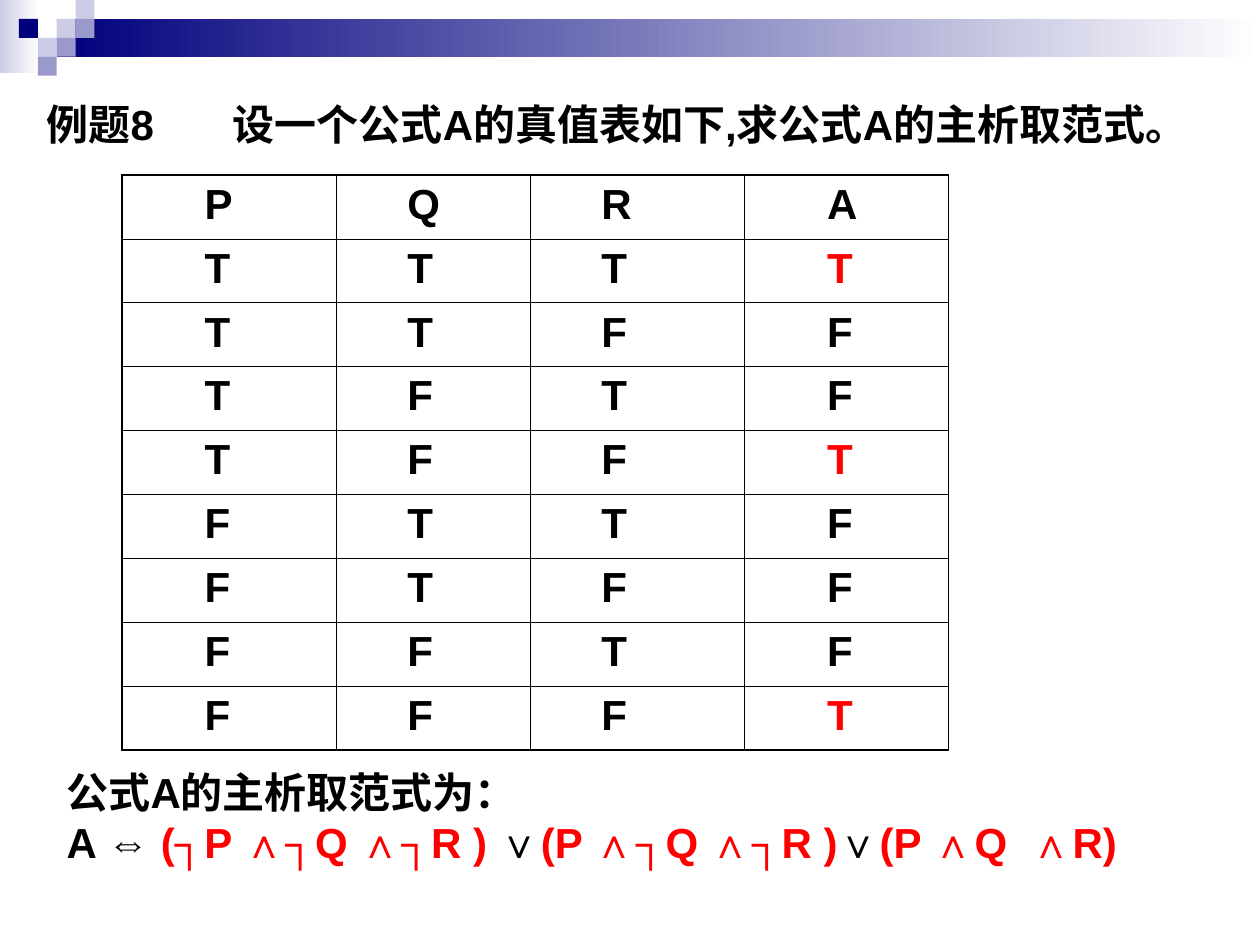
from lxml import etree
from pptx import Presentation
from pptx.dml.color import RGBColor
from pptx.enum import shapes, text
from pptx.oxml import ns
from pptx.util import Pt

BLACK = RGBColor(0x00, 0x00, 0x00)
RED = RGBColor(0xFF, 0x00, 0x00)
WHITE = RGBColor(0xFF, 0xFF, 0xFF)
NAVY = RGBColor(0x00, 0x00, 0x7D)
LILAC = RGBColor(0xCC, 0xCC, 0xE6)
VIOLET = RGBColor(0x99, 0x99, 0xCC)


def add_rectangle(left, top, width, height, *colors):
    """One colour gives a solid fill, two a left-to-right gradient."""
    rectangle = slide.shapes.add_shape(
        shapes.MSO_SHAPE.RECTANGLE, Pt(left), Pt(top), Pt(width), Pt(height))
    rectangle.shadow.inherit = False
    rectangle.line.fill.background()
    if len(colors) == 1:
        rectangle.fill.solid()
        rectangle.fill.fore_color.rgb = colors[0]
    else:
        rectangle.fill.gradient()
        rectangle.fill.gradient_angle = 0
        for stop, color in zip(rectangle.fill.gradient_stops, colors):
            stop.color.rgb = color


def write(paragraph, words, color=BLACK):
    paragraph.alignment = text.PP_ALIGN.LEFT
    run = paragraph.add_run()
    run.text = words
    for key, value in {"name": "Arial", "size": Pt(24), "bold": True}.items():
        setattr(run.font, key, value)
    run.font.color.rgb = color


prs = Presentation()
prs.slide_width, prs.slide_height = Pt(720), Pt(540)
slide = prs.slides.add_slide(prs.slide_layouts[5])

# Banner with its mosaic of squares, given as column, row, colour
UNIT = 10.8
add_rectangle(0, 0, 22.3, 41.8, LILAC, WHITE)
add_rectangle(3 * UNIT, UNIT, 687.6, 2 * UNIT, NAVY, WHITE)
mosaic = [(3, 1, LILAC), (4, 0, LILAC), (4, 1, VIOLET), (2, 2, LILAC),
          (1, 1, NAVY), (3, 2, VIOLET), (2, 3, VIOLET)]
for column, row, color in mosaic:
    add_rectangle(column * UNIT, row * UNIT, UNIT, UNIT, color)

# Question and answer
question = slide.shapes.title
question.left, question.top, question.width, question.height = (
    Pt(19.4), Pt(52.6), Pt(663.1), Pt(64.8))
answer = slide.shapes.add_textbox(Pt(31), Pt(434.2), Pt(668.9), Pt(64.8))
frame_format = {
    "word_wrap": True,
    "auto_size": text.MSO_AUTO_SIZE.SHAPE_TO_FIT_TEXT,
    "vertical_anchor": text.MSO_ANCHOR.TOP,
    "margin_left": Pt(7.2), "margin_right": Pt(7.2),
    "margin_top": Pt(3.6), "margin_bottom": Pt(3.6),
}
for box in (question, answer):
    for key, value in frame_format.items():
        setattr(box.text_frame, key, value)
    box.text_frame.paragraphs[0].space_before = Pt(15)

problem = question.text_frame.paragraphs[0]
write(problem, "例题8\t设一个公式A的真值表如下,求公式A的主析取范式。")
tabs = etree.SubElement(problem._p.get_or_add_pPr(), ns.qn("a:tabLst"))
etree.SubElement(tabs, ns.qn("a:tab"), pos=str(Pt(106.5)), algn="l")

write(answer.text_frame.paragraphs[0], "公式A的主析取范式为：")
normal_form = answer.text_frame.add_paragraph()
for words, color in [
    ("A ⇔ ", BLACK), ("(┐P ∧┐Q ∧┐R )", RED), (" ∨", BLACK),
    ("(P ∧┐Q ∧┐R )", RED), ("∨", BLACK), ("(P ∧Q  ∧R)", RED),
]:
    write(normal_form, words, color)

# Truth table
truth_rows = ["PQRA", "TTTT", "TTFF", "TFTF", "TFFT",
              "FTTF", "FTFF", "FFTF", "FFFT"]
column_widths = [122.4, 110.9, 122.4, 116.6]
column_insets = [47.2, 40.6, 40.6, 47.2]
ROW_HEIGHT = 36.5
THIN, THICK = Pt(0.45), Pt(1.08)
last_row, last_column = len(truth_rows) - 1, len(column_widths) - 1

table = slide.shapes.add_table(
    len(truth_rows), len(column_widths), Pt(69.8), Pt(100.1),
    Pt(sum(column_widths)), Pt(ROW_HEIGHT * len(truth_rows))).table
table.first_row = table.horz_banding = False
for column, width in zip(table.columns, column_widths):
    column.width = Pt(width)
for row in table.rows:
    row.height = Pt(ROW_HEIGHT)

for r, letters in enumerate(truth_rows):
    for c, letter in enumerate(letters):
        cell = table.cell(r, c)
        cell.margin_left = Pt(column_insets[c])
        paragraph = cell.text_frame.paragraphs[0]
        paragraph.space_before = Pt(6)
        is_true_result = c == last_column and letter == "T"
        write(paragraph, letter, RED if is_true_result else BLACK)
        outer_edges = {"lnL": c == 0, "lnR": c == last_column,
                       "lnT": r == 0, "lnB": r == last_row}
        properties = cell._tc.get_or_add_tcPr()
        for edge, is_outer in outer_edges.items():
            border = etree.SubElement(properties, ns.qn(f"a:{edge}"),
                                      w=str(THICK if is_outer else THIN))
            fill = etree.SubElement(border, ns.qn("a:solidFill"))
            etree.SubElement(fill, ns.qn("a:srgbClr"), val=str(BLACK))
        cell.fill.background()

prs.save("out.pptx")
